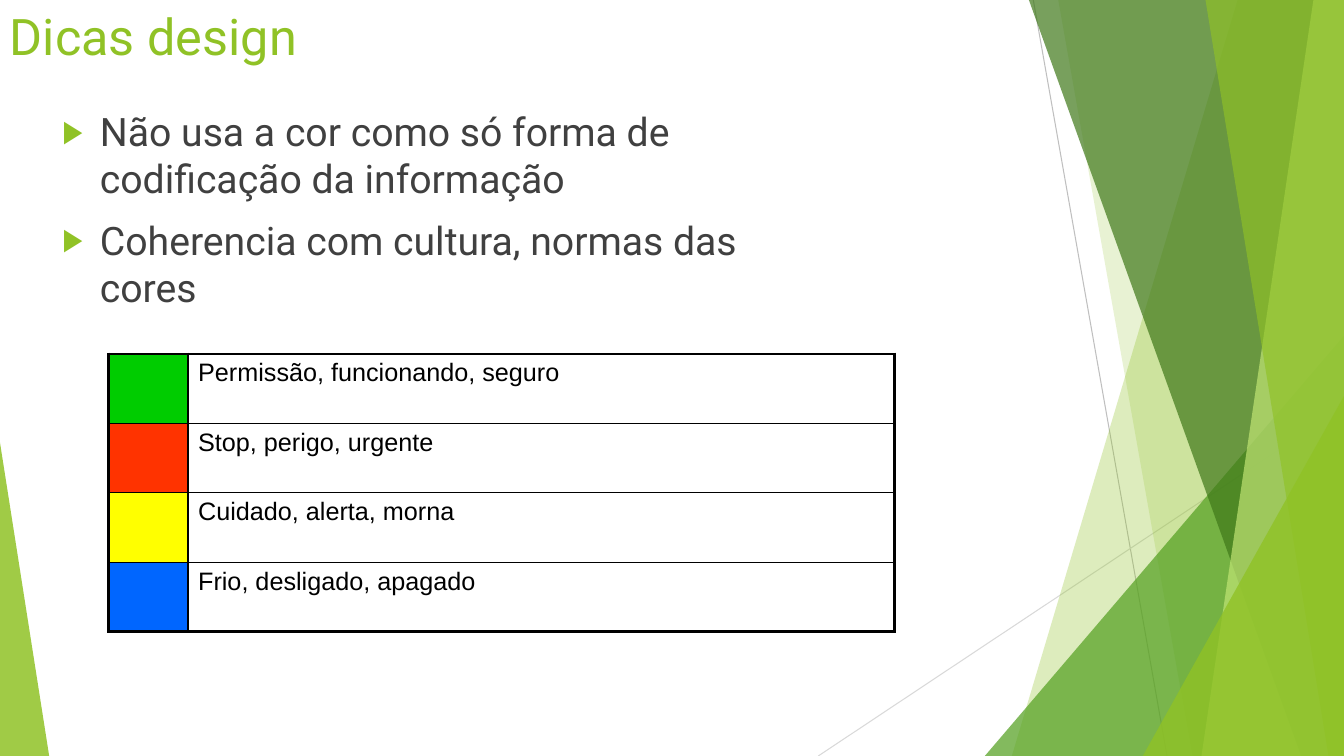
import pptx
import pptx.dml.color
import pptx.enum.shapes
import pptx.enum.text
import pptx.oxml.ns
import pptx.oxml.xmlchemy
import pptx.util
import lxml.etree

Cm = pptx.util.Cm
Pt = pptx.util.Pt
qn = pptx.oxml.ns.qn

WIDTH, HEIGHT = 33.87, 19.05
GREEN = "90C226"

FACET_LINES = [
    (26.04, 0, 29.41, HEIGHT, "BFBFBF"),
    (WIDTH, 10.24, 20.62, HEIGHT, "D9D9D9"),
]
BACK_PANELS = [(31.19, 25.5, GREEN, 30), (26.67, 30.05, GREEN, 20)]
FRONT_PANELS = [
    (25.93, 32.79, "3F7819", 70),
    (33.1, 30.28, "C0E474", 70),
    (30.38, 33.48, GREEN, 65),
]
TIPS = [
    "Não usa a cor como só forma de codificação da informação",
    "Coherencia com cultura, normas das cores",
]
COLOR_MEANINGS = [
    ("00CC00", "Permissão, funcionando, seguro"),
    ("FF3300", "Stop, perigo, urgente"),
    ("FFFF00", "Cuidado, alerta, morna"),
    ("0066FF", "Frio, desligado, apagado"),
]


def color(value):
    return pptx.dml.color.RGBColor.from_string(value)


def add_child(parent, tag, **attributes):
    return lxml.etree.SubElement(parent, qn(tag), attributes)


def paint(shape, fill, opacity):
    shape.shadow.inherit = False
    shape.line.fill.background()
    shape.fill.solid()
    shape.fill.fore_color.rgb = color(fill)
    color_element = shape.fill._xPr.find(qn("a:solidFill"))[0]
    add_child(color_element, "a:alpha", val=str(opacity * 1000))


def add_run(paragraph, text, size, font_name, font_color):
    run = paragraph.add_run()
    run.text = text
    run.font.size = Pt(size)
    run.font.name = font_name
    run.font.color.rgb = color(font_color)


def add_facet_line(slide, x1, y1, x2, y2, line_color):
    line = slide.shapes.add_connector(
        pptx.enum.shapes.MSO_CONNECTOR.STRAIGHT, Cm(x1), Cm(y1), Cm(x2), Cm(y2))
    line.line.color.rgb = color(line_color)
    line.line.width = Pt(0.75)
    add_child(line._element.spPr, "a:effectLst")


def add_panel(slide, right, bottom, top_x, bottom_x, fill, opacity):
    builder = slide.shapes.build_freeform(Cm(top_x), 0)
    corners = [(right, 0), (right, bottom), (bottom_x, bottom)]
    builder.add_line_segments([(Cm(x), Cm(y)) for x, y in corners], close=True)
    paint(builder.convert_to_shape(), fill, opacity)


def add_corner(slide, left, top, right, bottom, apex, fill, opacity):
    triangle = slide.shapes.add_shape(
        pptx.enum.shapes.MSO_SHAPE.ISOSCELES_TRIANGLE,
        Cm(left), Cm(top), Cm(right - left), Cm(bottom - top))
    triangle.adjustments[0] = apex
    paint(triangle, fill, opacity)


def add_facets(slide, right, bottom):
    for facet_line in FACET_LINES:
        add_facet_line(slide, *facet_line)
    for panel in BACK_PANELS:
        add_panel(slide, right, bottom, *panel)
    add_corner(slide, 24.82, 8.46, right, bottom, 1, "54A021", 72)
    for panel in FRONT_PANELS:
        add_panel(slide, right, bottom, *panel)
    add_corner(slide, 28.8, 9.98, right, bottom, 1, GREEN, 80)
    add_corner(slide, 0, 11.15, 1.24, bottom, 0, GREEN, 85)


def add_text_frame(slide, left, top, width, height):
    box = slide.shapes.add_textbox(Cm(left), Cm(top), Cm(width), Cm(height))
    box.text_frame.word_wrap = True
    box.text_frame.vertical_anchor = pptx.enum.text.MSO_ANCHOR.TOP
    return box.text_frame


def add_title(slide, left, top, width, height):
    frame = add_text_frame(slide, left, top, width, height)
    add_run(frame.paragraphs[0], "Dicas design", 36, "Roboto", GREEN)


def add_tips(slide, left, top, width, height):
    frame = add_text_frame(slide, left, top, width, height)
    for index, tip in enumerate(TIPS):
        paragraph = frame.add_paragraph() if index else frame.paragraphs[0]
        properties = paragraph._p.get_or_add_pPr()
        properties.set("marL", str(Cm(0.95)))
        properties.set("indent", str(-Cm(0.95)))
        bullet_color = add_child(properties, "a:buClr")
        add_child(bullet_color, "a:srgbClr", val=GREEN)
        add_child(properties, "a:buSzPct", val="80000")
        add_child(properties, "a:buFont", typeface="Arial")
        add_child(properties, "a:buChar", char="▶")
        if index:
            paragraph.space_before = Pt(10)
        add_run(paragraph, tip, 28, "Roboto", "404040")


def add_borders(cell, **widths):
    properties = cell._tc.get_or_add_tcPr()
    for side, width in widths.items():
        border = add_child(properties, f"a:ln{side}", w=str(Pt(width)))
        fill = add_child(border, "a:solidFill")
        add_child(fill, "a:srgbClr", val="000000")


def add_color_table(slide, left, top, width, height):
    row_count = len(COLOR_MEANINGS)
    table = slide.shapes.add_table(
        row_count, 2, Cm(left), Cm(top), Cm(width), Cm(height)).table
    table.first_row = False
    table.horz_banding = False
    swatch_width = 2
    table.columns[0].width = Cm(swatch_width)
    table.columns[1].width = Cm(width - swatch_width)
    outer, inner = 2.25, 1
    for index, (swatch, meaning) in enumerate(COLOR_MEANINGS):
        table.rows[index].height = Cm(height / row_count)
        upper = outer if index == 0 else inner
        lower = outer if index == row_count - 1 else inner
        swatch_cell, meaning_cell = table.rows[index].cells
        add_borders(swatch_cell, L=outer, R=inner, T=upper, B=lower)
        add_borders(meaning_cell, L=inner, R=outer, T=upper, B=lower)
        swatch_cell.fill.solid()
        swatch_cell.fill.fore_color.rgb = color(swatch)
        meaning_cell.fill.background()
        add_run(meaning_cell.text_frame.paragraphs[0], meaning, 18, "Arial", "000000")


def main():
    presentation = pptx.Presentation()
    presentation.slide_width = Cm(WIDTH)
    presentation.slide_height = Cm(HEIGHT)
    slide = presentation.slides.add_slide(presentation.slide_layouts[6])
    add_facets(slide, WIDTH, HEIGHT)
    add_title(slide, 0, 0, WIDTH, 3.12)
    add_tips(slide, 1.32, 2.59, 18.77, 7.24)
    add_color_table(slide, 2.74, 8.92, 19.81, 7)
    presentation.save("out.pptx")


if __name__ == "__main__":
    main()
